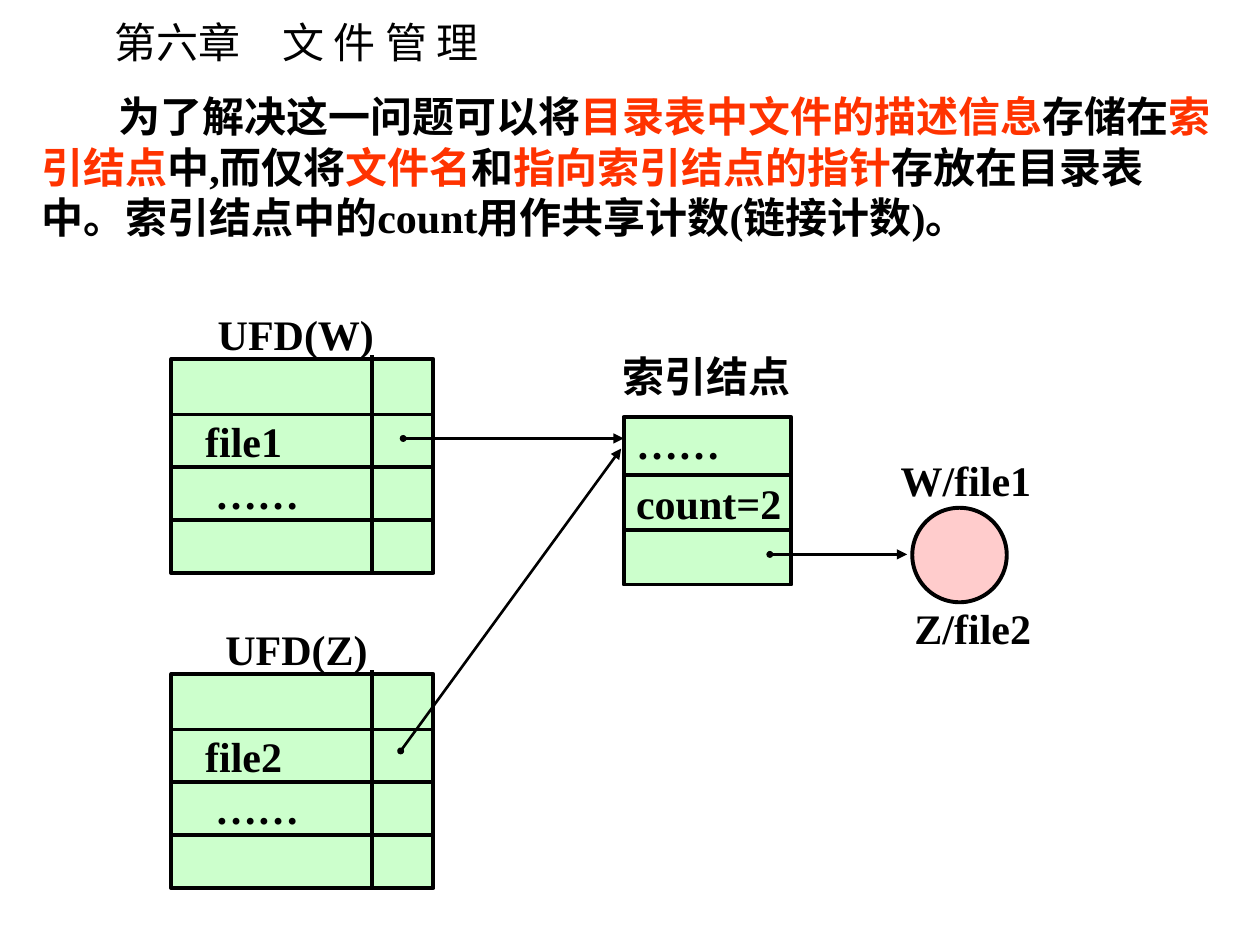
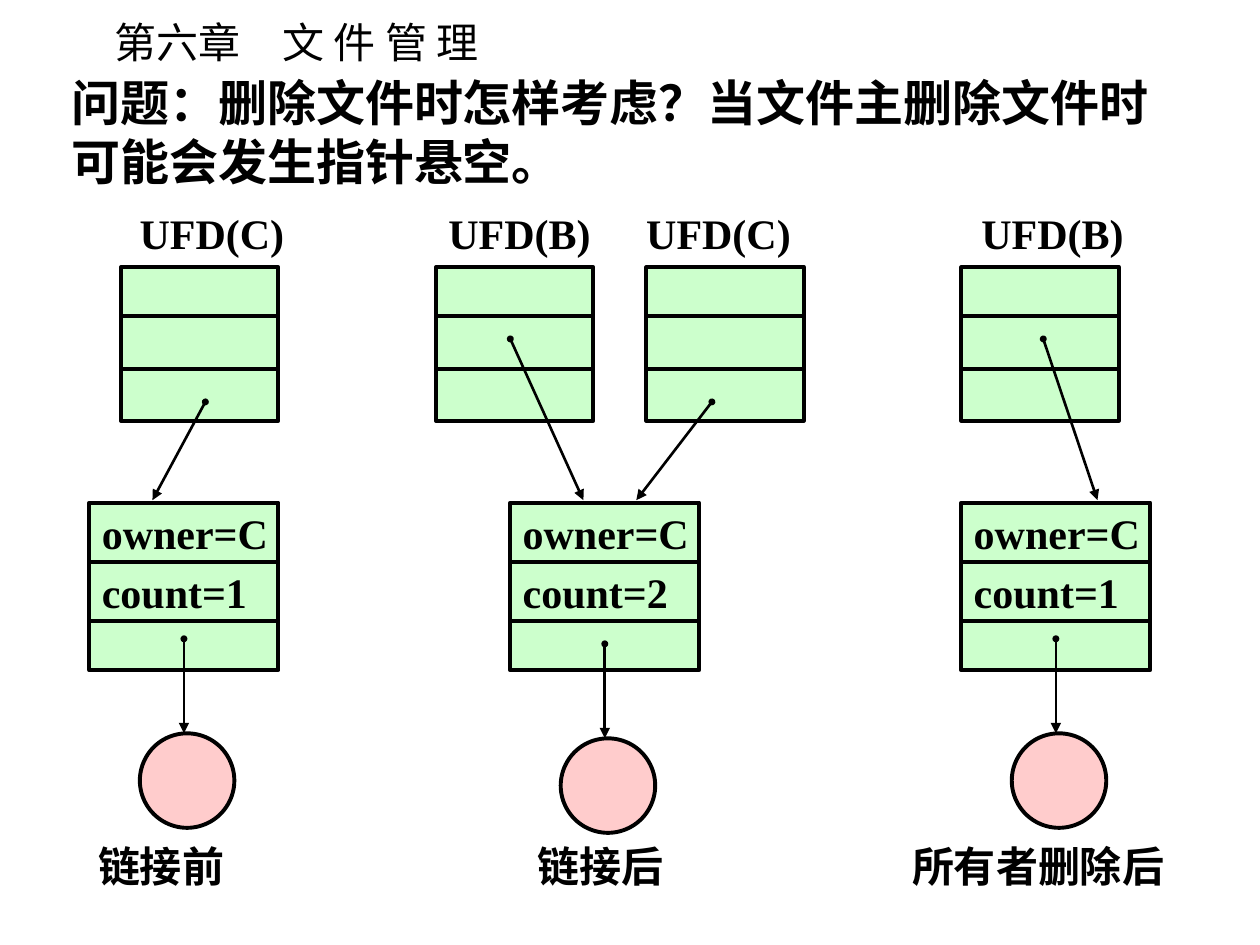
from lxml import etree
from pptx import Presentation
from pptx import util as u
from pptx.dml.color import RGBColor
from pptx.enum import shapes, text
from pptx.oxml import ns

BLACK = RGBColor(0x00, 0x00, 0x00)
RED = RGBColor(0xFF, 0x33, 0x00)
GREEN = RGBColor(0xCC, 0xFF, 0xCC)
PINK = RGBColor(0xFF, 0xCC, 0xCC)
LATIN = "Times New Roman"
CHINESE = "Noto Sans CJK SC"
CHAPTER = "第六章\u3000文 件 管 理"


class Lecture:
    """The deck's style and the slide being drawn."""

    def __init__(self):
        self.deck = Presentation()
        self.deck.slide_width = u.Inches(10)
        self.deck.slide_height = u.Inches(7.5)
        self.page = None

    def add_page(self):
        self.page = self.deck.slides.add_slide(self.deck.slide_layouts[6])
        self.label(CHAPTER, 0.81, 0.08, 3.16, font=CHINESE, bold=False)

    def style(self, paragraph, size=24, font=LATIN, bold=True, left=0, first=0):
        properties = paragraph._p.get_or_add_pPr()
        properties.set("marL", str(u.Inches(left)))
        properties.set("indent", str(u.Inches(first)))
        properties.set("hangingPunct", "0")
        paragraph.alignment = text.PP_ALIGN.LEFT
        paragraph.font.size = u.Pt(size)
        paragraph.font.bold = bold
        paragraph.font.name = font
        paragraph.font.color.rgb = BLACK
        defaults = properties.find(ns.qn("a:defRPr"))
        etree.SubElement(defaults, ns.qn("a:ea")).set("typeface", CHINESE)

    def label(self, words, left, top, width, height=0.5, wrap=False, **style):
        """Text box; words is a string or a list of (text, colour) spans."""
        box = self.page.shapes.add_textbox(*map(u.Inches, (left, top, width, height)))
        frame = box.text_frame
        frame.word_wrap = wrap
        frame.vertical_anchor = text.MSO_ANCHOR.MIDDLE
        paragraph = frame.paragraphs[0]
        self.style(paragraph, **style)
        for words_part, colour in [(words, BLACK)] if isinstance(words, str) else words:
            span = paragraph.add_run()
            span.text = words_part
            if colour != BLACK:
                span.font.color.rgb = colour

    def shape(self, kind, left, top, width, height, fill):
        shape = self.page.shapes.add_shape(kind, *map(u.Inches, (left, top, width, height)))
        shape.shadow.inherit = False
        shape.fill.solid()
        shape.fill.fore_color.rgb = fill
        shape.line.color.rgb = BLACK
        shape.line.width = u.Pt(2.25)
        return shape

    def line(self, start, end, width=2.25):
        line = self.page.shapes.add_connector(
            shapes.MSO_CONNECTOR.STRAIGHT, *map(u.Inches, (*start, *end)))
        line.line.color.rgb = BLACK
        line.line.width = u.Pt(width)
        etree.SubElement(line._element.spPr, ns.qn("a:effectLst"))
        return line

    def pointer(self, start, end):
        """Arrow that starts with a small dot."""
        outline = self.line(start, end, 1.5).line._get_or_add_ln()
        for tag, end_type, size in (("a:headEnd", "oval", "sm"),
                                    ("a:tailEnd", "triangle", "med")):
            tip = etree.SubElement(outline, ns.qn(tag))
            tip.set("type", end_type)
            tip.set("w", size)
            tip.set("len", size)

    def record(self, left, top, width, height, dividers, rows=(), inset=0, gap=0):
        """Box cut by dividers; rows are (text, indent), the first at inset."""
        box = self.shape(shapes.MSO_SHAPE.RECTANGLE, left, top, width, height, GREEN)
        frame = box.text_frame
        frame.word_wrap = True
        frame.vertical_anchor = text.MSO_ANCHOR.TOP
        frame.margin_top = u.Inches(inset)
        frame.margin_right = 0
        for number, (words, indent) in enumerate(rows):
            paragraph = frame.add_paragraph() if number else frame.paragraphs[0]
            paragraph.text = words
            self.style(paragraph, left=indent)
            if number:
                paragraph.space_before = u.Pt(gap)
        for offset in dividers:
            self.line((left, top + offset), (left + width, top + offset))

    def file(self, left, top):
        self.shape(shapes.MSO_SHAPE.OVAL, left, top, 0.75, 0.75, PINK)


def draw_sharing(lecture):
    lecture.add_page()

    # User directories with a pointer column
    directories = [
        ("UFD(W)", 1.63, 1.44, "file1", 2.85),
        ("UFD(Z)", 1.69, 1.33, "file2", 5.35),
    ]
    for name, name_left, name_width, entry, top in directories:
        lecture.label(name, name_left, top - 0.45, name_width)
        lecture.record(1.36, top, 2.08, 1.7, (0.44, 0.86, 1.28),
                       [(entry, 0.17), ("……", 0.25)], inset=0.45, gap=0.5)
        lecture.line((2.95, top - 0.03), (2.95, top + 1.69))

    # Index node and the shared file
    lecture.label("索引结点", 4.84, 2.73, 1.53)
    lecture.record(4.95, 3.31, 1.33, 1.33, (0.46, 0.9),
                   [("……", 0), ("count=2", 0)], inset=0, gap=5.5)
    lecture.file(7.24, 4.03)
    lecture.label("W/file1", 7.05, 3.56, 1.5, wrap=True)
    lecture.label("Z/file2", 7.16, 4.73, 1.5, wrap=True)
    lecture.pointer((3.2, 3.48), (4.95, 3.48))
    lecture.pointer((3.18, 5.96), (4.93, 3.56))
    lecture.pointer((6.11, 4.4), (7.2, 4.4))

    # Explanation
    lecture.label([
        ("为了解决这一问题可以将", BLACK),
        ("目录表中文件的描述信息", RED),
        ("存储在", BLACK),
        ("索引结点", RED),
        ("中,而仅将", BLACK),
        ("文件名", RED),
        ("和", BLACK),
        ("指向索引结点的指针", RED),
        ("存放在目录表中。索引结点中的count用作共享计数(链接计数)。", BLACK),
    ], 0.23, 0.67, 9.52, 1.3, wrap=True, first=0.61)


def draw_deletion(lecture):
    lecture.add_page()

    # Directories: name, name left, box left, pointer start and end
    directories = [
        ("UFD(C)", 1.01, 0.96, (1.63, 3.19), (1.21, 3.97)),
        ("UFD(B)", 3.46, 3.46, (4.05, 2.69), (4.63, 3.97)),
        ("UFD(C)", 5.03, 5.13, (5.65, 3.19), (5.05, 3.97)),
        ("UFD(B)", 7.69, 7.63, (8.28, 2.69), (8.71, 3.97)),
    ]
    for name, name_left, left, start, end in directories:
        lecture.label(name, name_left, 1.6, 1.35)
        lecture.record(left, 2.12, 1.25, 1.22, (0.39, 0.81))
        lecture.pointer(start, end)

    # Stages: node left, count, file top, caption with its left and width
    stages = [
        (0.71, 1, 5.82, "链接前", 0.68, 1.2),
        (4.05, 2, 5.86, "链接后", 4.17, 1.2),
        (7.63, 1, 5.82, "所有者删除后", 7.14, 2.2),
    ]
    for left, count, file_top, caption, caption_left, caption_width in stages:
        lecture.record(left, 3.99, 1.5, 1.33, (0.47, 0.94),
                       [("owner=C", 0), (f"count={count}", 0)], inset=0.04, gap=5)
        lecture.file(left + 0.4, file_top)
        lecture.pointer((left + 0.75, file_top - 0.75), (left + 0.75, file_top))
        lecture.label(caption, caption_left, 6.62, caption_width)

    # Question
    lecture.label("问题：删除文件时怎样考虑？当文件主删除文件时可能会发生指针悬空。",
                  0.47, 0.52, 9.03, 1.04, wrap=True, size=28)


def main():
    lecture = Lecture()
    draw_sharing(lecture)
    draw_deletion(lecture)
    lecture.deck.save("out.pptx")


if __name__ == "__main__":
    main()
